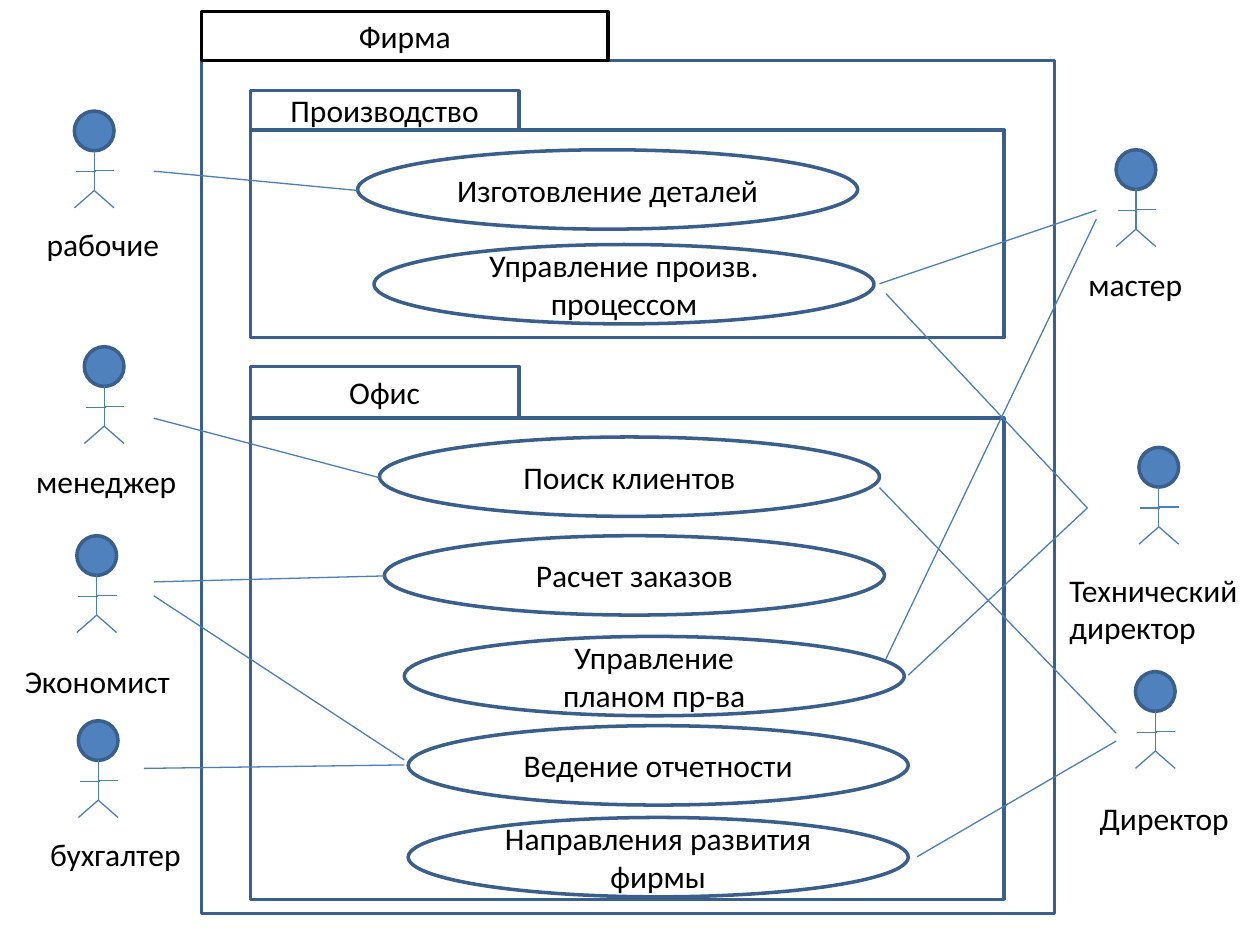
from pptx import Presentation
from pptx.dml.color import RGBColor
from pptx.enum.shapes import MSO_CONNECTOR, MSO_SHAPE
from pptx.enum.text import MSO_ANCHOR, PP_ALIGN
from pptx.oxml.ns import qn
from pptx.util import Cm, Pt
from lxml.etree import SubElement

WHITE = RGBColor(0xFF, 0xFF, 0xFF)
BLACK = RGBColor(0, 0, 0)
BLUE = RGBColor(0x4F, 0x81, 0xBD)
NAVY = RGBColor(0x3A, 0x5F, 0x8C)
STEEL = RGBColor(0x4B, 0x7E, 0xBC)
FONT = {"name": "Calibri", "size": Pt(18)}

# Packages: name, left, top, width, height, tab width, tab height, tab line
PACKS = [
    ("Фирма", 4.06, 1.22, 17.2, 17.2, 8.2, 0.99, BLACK),
    ("Производство", 5.05, 2.62, 15.19, 4.19, 5.41, 0.79, NAVY),
    ("Офис", 5.05, 8.43, 15.19, 9.7, 5.41, 1.04, NAVY),
]

# Use cases: text, left, top
CASE_W, CASE_H = 10.08, 1.6
CASES = [
    ("Изготовление деталей", 7.21, 3.02),
    ("Управление произв. процессом", 7.54, 4.93),
    ("Поиск клиентов", 7.65, 8.81),
    ("Расчет заказов", 7.75, 10.8),
    ("Управление\nпланом пр-ва", 8.15, 12.83),
    ("Ведение отчетности", 8.23, 14.63),
    ("Направления развития фирмы", 8.23, 16.48),
]

# Actors: name, head left and top, label left, top and width
ACTORS = [
    ("рабочие", 1.5, 2.24, 0.69, 4.42, 2.82),
    ("мастер", 22.5, 3.02, 21.69, 5.21, 2.44),
    ("Технический\nдиректор", 22.96, 9.02, 21.31, 11.38, 3.94),
    ("Директор", 22.89, 13.54, 21.92, 15.98, 3.15),
    ("менеджер", 1.7, 6.99, 0.48, 9.19, 3.38),
    ("Экономист", 1.55, 10.8, 0.25, 13.23, 3.48),
    ("бухгалтер", 1.58, 14.53, 0.76, 16.71, 3.18),
]
HEAD = 0.8
LIMBS = [  # trunk, legs, arms, measured from the head's corner
    (0.4, 0.8, 0.4, 1.6),
    (0.4, 1.6, 0, 1.95),
    (0.4, 1.6, 0.8, 1.95),
    (0.4, 1.2, 0.8, 1.2),
    (0.03, 1.22, 0.43, 1.22),
]

# Links from actor to use case: x1, y1, x2, y2
LINKS = [
    (3.1, 3.45, 7.21, 3.84),
    (22.1, 4.24, 17.73, 5.72),
    (3.1, 8.43, 7.65, 9.63),
    (3.1, 11.73, 7.75, 11.61),
    (3.1, 12.01, 8.15, 15.32),
    (2.9, 15.49, 8.15, 15.42),
    (21.92, 10.24, 18.31, 13.61),
    (21.92, 10.24, 17.86, 5.92),
    (22.5, 14.94, 18.49, 17.27),
    (22.5, 14.78, 17.73, 9.83),
    (22.1, 4.42, 17.86, 13.28),
]

deck = Presentation()
deck.slide_width, deck.slide_height = Cm(25.4), Cm(19.05)
slide = deck.slides.add_slide(deck.slide_layouts[6])
parts = slide.shapes


def write(frame, text, align):
    frame.text = text
    for para in frame.paragraphs:
        para.alignment = align
        for key, val in FONT.items():
            setattr(para.font, key, val)
        para.font.color.rgb = BLACK


def draw(kind, x, y, w, h, text="", fill=WHITE, line=NAVY):
    part = parts.add_shape(kind, Cm(x), Cm(y), Cm(w), Cm(h))
    part.shadow.inherit = False
    part.fill.solid()
    part.fill.fore_color.rgb = fill
    part.line.color.rgb = line
    part.line.width = Pt(2)
    if text:
        part.text_frame.vertical_anchor = MSO_ANCHOR.MIDDLE
        write(part.text_frame, text, PP_ALIGN.CENTER)


def join(x1, y1, x2, y2):
    link = parts.add_connector(MSO_CONNECTOR.STRAIGHT, Cm(x1), Cm(y1), Cm(x2), Cm(y2))
    link.line.color.rgb = STEEL
    link.line.width = Pt(0.75)
    SubElement(link._element.spPr, qn("a:effectLst"))


# Packages with their tabs
for name, x, y, w, h, tab_w, tab_h, edge in PACKS:
    draw(MSO_SHAPE.RECTANGLE, x, y, w, h)
    draw(MSO_SHAPE.RECTANGLE, x, y - tab_h, tab_w, tab_h, name, line=edge)

# Use cases
for text, x, y in CASES:
    draw(MSO_SHAPE.OVAL, x, y, CASE_W, CASE_H, text)

# Actors and their labels
for name, x, y, left, top, width in ACTORS:
    draw(MSO_SHAPE.OVAL, x, y, HEAD, HEAD, fill=BLUE)
    for x1, y1, x2, y2 in LIMBS:
        join(x + x1, y + y1, x + x2, y + y2)
    high = 1.8 if "\n" in name else 1.02
    label = parts.add_textbox(Cm(left), Cm(top), Cm(width), Cm(high))
    label.text_frame.word_wrap = False
    write(label.text_frame, name, PP_ALIGN.LEFT)

# Links
for ends in LINKS:
    join(*ends)

deck.save("out.pptx")
